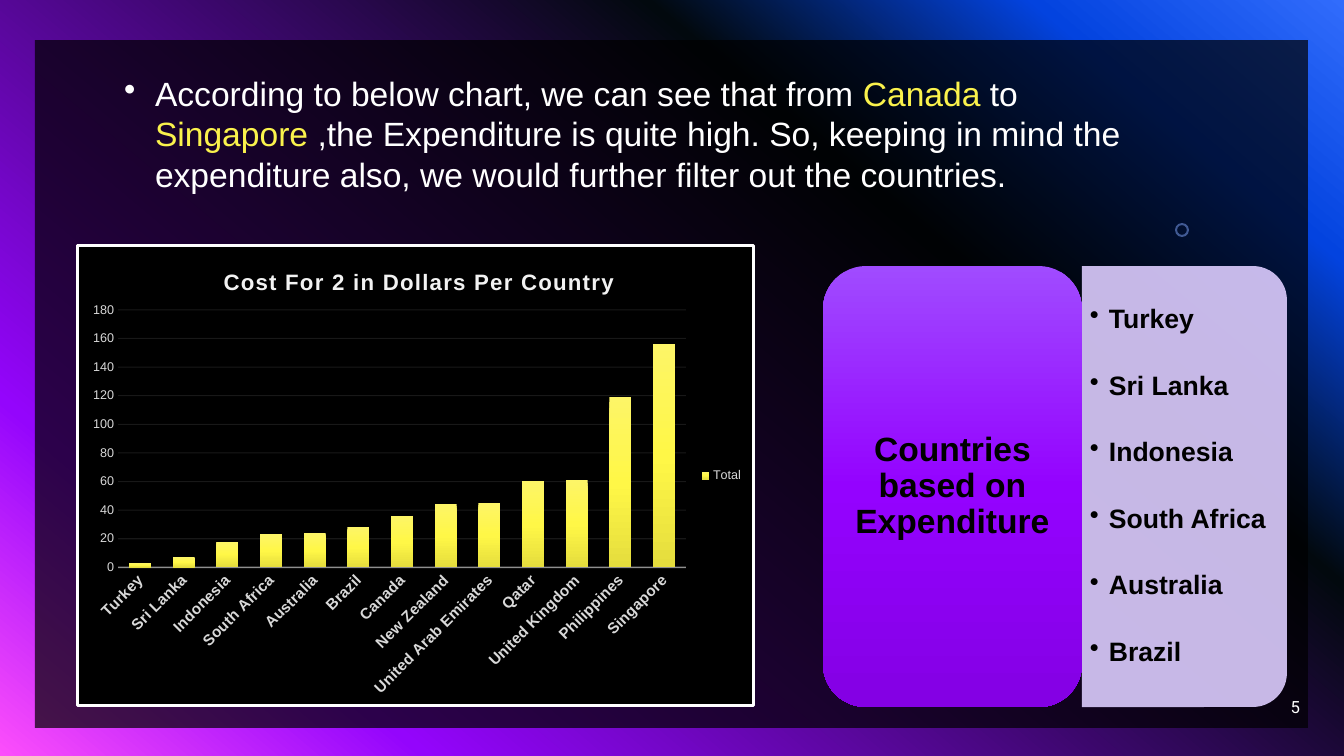
import pptx
import pptx.chart.data
import pptx.dml.color
import pptx.enum.chart
import pptx.enum.shapes
import pptx.enum.text
import pptx.oxml
import pptx.oxml.ns
import pptx.util

PX = 914400 / 100.8
SHAPE = pptx.enum.shapes.MSO_SHAPE
ALIGN = pptx.enum.text.PP_ALIGN
ANCHOR = pptx.enum.text.MSO_ANCHOR
NAMESPACES = pptx.oxml.ns.nsdecls("a", "c")
qn = pptx.oxml.ns.qn

WHITE, BLACK, YELLOW, GREY, PALE = "FFFFFF", "000000", "FAF24C", "D9D9D9", "F2F2F2"
EXPENDITURE = {
    "Turkey": 3, "Sri Lanka": 7, "Indonesia": 18, "South Africa": 23,
    "Australia": 24, "Brazil": 28, "Canada": 36, "New Zealand": 44,
    "United Arab Emirates": 45, "Qatar": 60, "United Kingdom": 61,
    "Philippines": 119, "Singapore": 156,
}
CHOSEN = ["Turkey", "Sri Lanka", "Indonesia", "South Africa", "Australia", "Brazil"]


def px(*lengths):
    return [pptx.util.Emu(round(length * PX)) for length in lengths]


def rgb(value):
    return pptx.dml.color.RGBColor.from_string(value)


def paint(fill, color, alpha=100):
    fill.solid()
    fill.fore_color.rgb = rgb(color)
    if alpha < 100:
        element = fill._xPr.find(".//" + qn("a:srgbClr"))
        element.append(pptx.oxml.parse_xml(f'<a:alpha {NAMESPACES} val="{alpha * 1000}"/>'))


def paint_gradient(fill, stops, angle):
    """Angle is in degrees, clockwise from left to right."""
    fill.gradient()
    fill.gradient_angle = 360 - angle
    stop_list = fill._xPr.find(".//" + qn("a:gsLst"))
    for stop in list(stop_list):
        stop_list.remove(stop)
    for position, color in stops:
        stop_list.append(pptx.oxml.parse_xml(
            f'<a:gs {NAMESPACES} pos="{position * 1000}"><a:srgbClr val="{color}"/></a:gs>'))


def set_font(font, size, color, bold=False, name="Arial"):
    font.size, font.bold, font.name = pptx.util.Pt(size), bold, name
    font.color.rgb = rgb(color)


def add_shape(slide, kind, box):
    shape = slide.shapes.add_shape(kind, *px(*box))
    shape.shadow.inherit = False
    shape.line.fill.background()
    return shape


def write_text(shape, paragraphs, size, color=WHITE, bold=False, name="Arial", align=ALIGN.LEFT,
               anchor=ANCHOR.TOP, line_spacing=None, gap=0, bullet_indent=0, inset=10):
    """Each paragraph is a list of (text, colour) runs; no colour means the common one."""
    frame = shape.text_frame
    frame.word_wrap = True
    frame.vertical_anchor = anchor
    frame.margin_left = frame.margin_right = px(inset)[0]
    frame.margin_top = frame.margin_bottom = px(inset / 2)[0]
    for index, runs in enumerate(paragraphs):
        paragraph = frame.add_paragraph() if index else frame.paragraphs[0]
        paragraph.alignment = align
        if bullet_indent:
            properties = paragraph._p.get_or_add_pPr()
            indent = px(bullet_indent)[0]
            properties.set("marL", str(indent))
            properties.set("indent", str(-indent))
            properties.append(pptx.oxml.parse_xml(f'<a:buChar {NAMESPACES} char="•"/>'))
        if line_spacing:
            paragraph.line_spacing = line_spacing
        if index and gap:
            paragraph.space_before = pptx.util.Pt(gap)
        for words, run_color in runs:
            run = paragraph.add_run()
            run.text = words
            set_font(run.font, size, run_color or color, bold, name)


def add_text(slide, box, paragraphs, **text_format):
    write_text(slide.shapes.add_textbox(*px(*box)), paragraphs, **text_format)


def draw_backdrop(slide, box):
    paint_gradient(slide.background.fill, [
        (0, "316CFC"), (14, "0343DF"), (31, "02090E"), (81, "9405FC"), (100, "FC4EFB")], 130)
    left, top, width, height = box
    paint(add_shape(slide, SHAPE.RECTANGLE, box).fill, BLACK, 70)
    # Small ring near the top right
    ring = add_shape(slide, SHAPE.DONUT, (left + 1140, top + 183, 14, 14))
    ring.adjustments[0] = 0.15
    paint(ring.fill, "83A7FD", 49)
    # Slide number
    add_text(slide, (left + width - 300, top + height - 41, 302, 40), [[("5", None)]],
             size=12, name="Roboto", align=ALIGN.RIGHT, anchor=ANCHOR.MIDDLE)


def draw_statement(slide, box):
    add_text(slide, box, [[
        ("According to below chart, we can see that from ", None), ("Canada", YELLOW),
        (" to ", None), ("Singapore ", YELLOW),
        (",the Expenditure is quite high. So, keeping in mind the expenditure also, "
         "we would further filter out the countries.", None)]],
        size=24, bullet_indent=31)


def manual_layout(x, y, width=None, height=None):
    """Places a chart part by fractions of the chart."""
    size = f'<c:w val="{width}"/><c:h val="{height}"/>' if width else ""
    target = '<c:layoutTarget val="inner"/>' if width else ""
    return pptx.oxml.parse_xml(
        f'<c:layout {NAMESPACES}><c:manualLayout>{target}<c:xMode val="edge"/>'
        f'<c:yMode val="edge"/><c:x val="{x}"/><c:y val="{y}"/>{size}'
        '</c:manualLayout></c:layout>')


def draw_cost_chart(slide, box):
    data = pptx.chart.data.CategoryChartData(number_format="0")
    data.categories = list(EXPENDITURE)
    data.add_series("Total", list(EXPENDITURE.values()))
    chart = slide.shapes.add_chart(
        pptx.enum.chart.XL_CHART_TYPE.COLUMN_CLUSTERED, *px(*box), data).chart
    set_font(chart.font, 10, BLACK)
    # Black area with a white border
    chart._chartSpace.find(qn("c:txPr")).addprevious(pptx.oxml.parse_xml(
        f'<c:spPr {NAMESPACES}><a:solidFill><a:srgbClr val="{BLACK}"/></a:solidFill>'
        f'<a:ln w="{pptx.util.Pt(2.25)}"><a:solidFill><a:srgbClr val="{WHITE}"/></a:solidFill>'
        '</a:ln></c:spPr>'))
    # Title
    chart.has_title = True
    run = chart.chart_title.text_frame.paragraphs[0].add_run()
    run.text = "Cost For 2 in Dollars Per Country"
    set_font(run.font, 16, PALE, True)
    run.font._element.set("spc", "100")
    title = chart.chart_title._element
    for layout in title.findall(qn("c:layout")):
        title.remove(layout)
    title.find(qn("c:tx")).addnext(manual_layout(0.21, 0.04))
    chart.chart_title.include_in_layout = False
    # Legend
    chart.has_legend = True
    chart.legend.position = pptx.enum.chart.XL_LEGEND_POSITION.RIGHT
    chart.legend.include_in_layout = False
    set_font(chart.legend.font, 9, GREY)
    # Columns
    plot = chart.plots[0]
    plot.gap_width, plot.overlap, plot.vary_by_categories = 100, -24, False
    paint_gradient(plot.series[0].format.fill,
                   [(0, "FDF567"), (50, "FFF747"), (100, "E5DD3D")], 90)
    plot_area = chart._chartSpace.chart.plotArea
    for layout in plot_area.findall(qn("c:layout")):
        plot_area.remove(layout)
    plot_area.insert(0, manual_layout(0.06, 0.14, 0.84, 0.56))
    # Axes
    countries, dollars = chart.category_axis, chart.value_axis
    for axis, size, bold in ((countries, 11, True), (dollars, 9, False)):
        set_font(axis.tick_labels.font, size, GREY, bold)
        axis.major_tick_mark = axis.minor_tick_mark = pptx.enum.chart.XL_TICK_MARK.NONE
    countries._element.find(qn("c:txPr")).find(qn("a:bodyPr")).set("rot", "-2700000")
    countries.format.line.width = pptx.util.Pt(1)
    paint(countries.format.line.fill, PALE, 54)
    dollars.minimum_scale, dollars.maximum_scale, dollars.major_unit = 0, 180, 20
    dollars.format.line.fill.background()
    dollars.has_major_gridlines = True
    dollars.major_gridlines.format.line.width = pptx.util.Pt(0.75)
    paint(dollars.major_gridlines.format.line.fill, PALE, 10)


def draw_country_card(slide, box):
    left, top, width, height = box
    label_width = 259
    list_left, list_width = left + label_width, width - label_width
    # Pale list panel, turned so that its round corners face right
    panel = add_shape(slide, SHAPE.ROUND_2_SAME_RECTANGLE, (
        list_left + (list_width - height) / 2, top + (height - list_width) / 2,
        height, list_width))
    panel.rotation = 90
    paint(panel.fill, "DCCCFE", 90)
    add_text(slide, (list_left, top + 10, list_width - 10, height - 20),
             [[(country, None)] for country in CHOSEN], size=19, color=BLACK, bold=True,
             anchor=ANCHOR.MIDDLE, line_spacing=0.9, gap=27, bullet_indent=19, inset=8)
    # Purple label
    label = add_shape(slide, SHAPE.ROUNDED_RECTANGLE, (left, top, label_width, height))
    paint_gradient(label.fill, [(0, "A04BFF"), (50, "9402FF"), (100, "8400E4")], 90)
    write_text(label, [[("Countries based on Expenditure", None)]], size=24, color=BLACK,
               bold=True, align=ALIGN.CENTER, anchor=ANCHOR.MIDDLE, line_spacing=0.9)


def main():
    presentation = pptx.Presentation()
    presentation.slide_width, presentation.slide_height = px(1344, 756)
    slide = presentation.slides.add_slide(presentation.slide_layouts[6])
    draw_backdrop(slide, (35, 40, 1273, 688))
    draw_statement(slide, (114, 68, 1112, 132))
    draw_country_card(slide, (823, 266, 464, 441))
    draw_cost_chart(slide, (76, 244, 679, 463))
    presentation.save("out.pptx")


if __name__ == "__main__":
    main()
